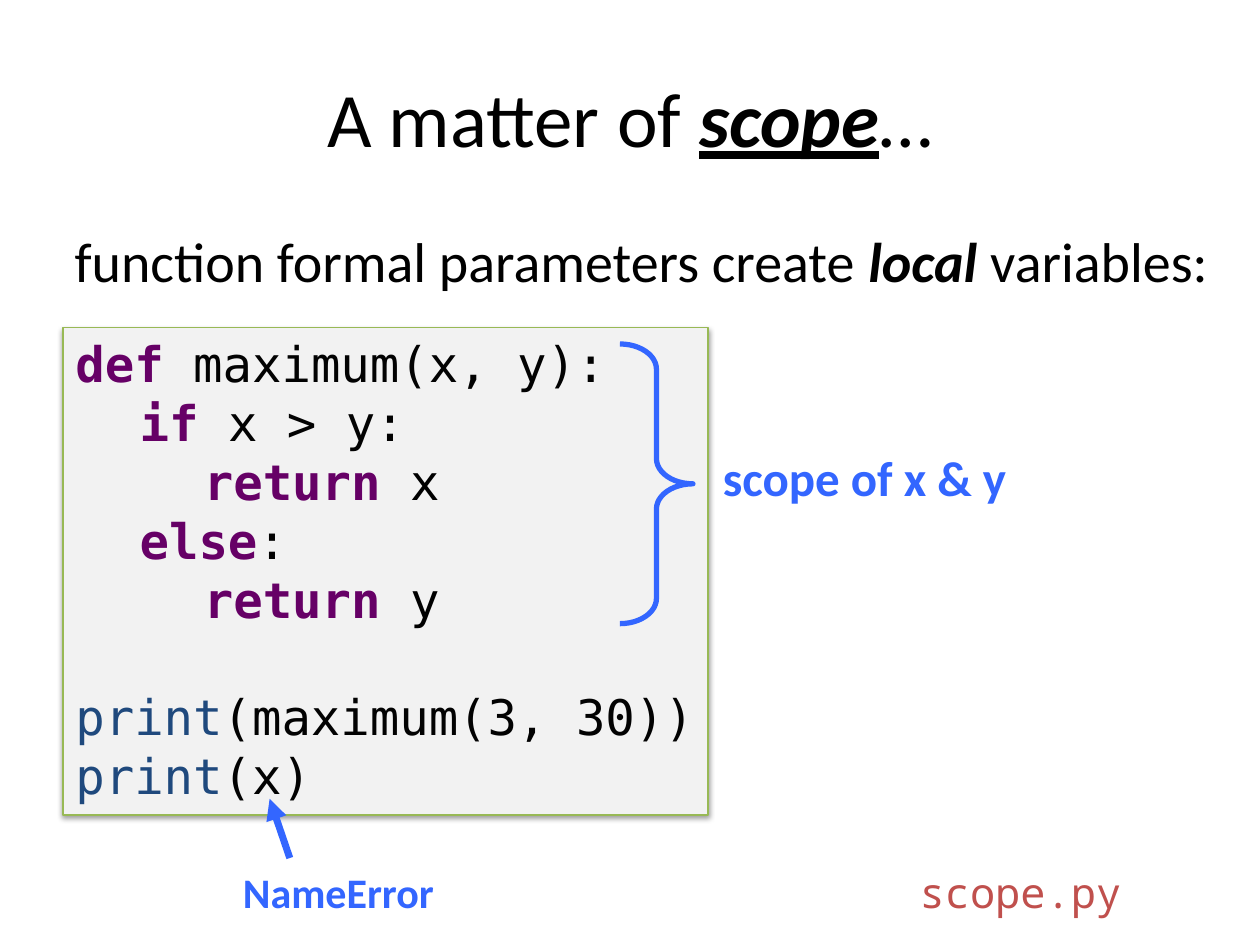
from dataclasses import dataclass

import lxml.etree
import pptx
import pptx.dml.color
import pptx.enum.shapes
import pptx.enum.text
import pptx.oxml
import pptx.oxml.ns
import pptx.util

Inches = pptx.util.Inches
Pt = pptx.util.Pt
RGBColor = pptx.dml.color.RGBColor
Align = pptx.enum.text.PP_ALIGN
Anchor = pptx.enum.text.MSO_ANCHOR
Shape = pptx.enum.shapes.MSO_SHAPE
qn = pptx.oxml.ns.qn

BLACK = RGBColor(0x00, 0x00, 0x00)
CODE_BLACK = RGBColor(0x02, 0x02, 0x02)
KEYWORD = RGBColor(0x66, 0x00, 0x66)
BUILTIN = RGBColor(0x1F, 0x49, 0x7D)
BLUE = RGBColor(0x33, 0x66, 0xFF)
RED = RGBColor(0xC0, 0x50, 0x4D)
PANEL = RGBColor(0xF2, 0xF2, 0xF2)
GREEN = RGBColor(0x98, 0xB9, 0x55)

SANS = "Calibri"
CODE = "DejaVu Sans Mono"
INDENT = 0.51
CODE_LINE_HEIGHT = 33.5


@dataclass(frozen=True)
class Span:
    text: str
    color: RGBColor = BLACK
    bold: bool = False
    italic: bool = False
    underline: bool = False


@dataclass(frozen=True)
class Line:
    spans: tuple[Span, ...]
    level: int = 0
    space_before: float = 0


@dataclass(frozen=True)
class Label:
    at: tuple[float, float, float, float]
    size: int
    spans: tuple[Span, ...]
    font: str = SANS
    align: Align = Align.LEFT
    anchor: Anchor = Anchor.TOP
    wrap: bool = True


def write_line(para, line: Line, font: str, size: int, align: Align = Align.LEFT) -> None:
    para.alignment = align
    para.space_before = Pt(line.space_before)
    if line.level:
        properties = para._p.get_or_add_pPr()
        properties.set("marL", str(Inches(INDENT * line.level)))
        properties.set("indent", "0")
    for span in line.spans:
        run = para.add_run()
        run.text = span.text
        run.font.name = font
        run.font.size = Pt(size)
        run.font.color.rgb = span.color
        run.font.bold = span.bold
        run.font.italic = span.italic
        run.font.underline = span.underline


def add_label(page, label: Label) -> None:
    box = page.shapes.add_textbox(*map(Inches, label.at))
    frame = box.text_frame
    frame.word_wrap = label.wrap
    frame.vertical_anchor = label.anchor
    write_line(frame.paragraphs[0], Line(label.spans), label.font, label.size, label.align)


def add_code_panel(page, lines: tuple[Line, ...]) -> None:
    panel = page.shapes.add_shape(
        Shape.RECTANGLE, Inches(0.5), Inches(2.6), Inches(5.12), Inches(3.87))
    panel.fill.solid()
    panel.fill.fore_color.rgb = PANEL
    panel.line.color.rgb = GREEN
    panel.line.width = Pt(0.75)
    panel.shadow.inherit = False
    effects = panel._element.spPr.find(qn("a:effectLst"))
    shadow = lxml.etree.SubElement(
        effects, qn("a:outerShdw"), blurRad=str(Pt(3.1)), dist=str(Pt(1.6)),
        dir="5400000", rotWithShape="0")
    color = lxml.etree.SubElement(shadow, qn("a:srgbClr"), val="000000")
    lxml.etree.SubElement(color, qn("a:alpha"), val="38000")
    frame = panel.text_frame
    frame.word_wrap = True
    frame.vertical_anchor = Anchor.TOP
    for index, line in enumerate(lines):
        para = frame.add_paragraph() if index else frame.paragraphs[0]
        write_line(para, line, CODE, 28)


def add_scope_brace(page) -> None:
    brace = page.shapes.add_shape(
        Shape.RIGHT_BRACE, Inches(4.92), Inches(2.73), Inches(0.58), Inches(2.22))
    brace.adjustments[0] = 0.345
    brace.adjustments[1] = 0.5
    brace.fill.background()
    brace.line.color.rgb = BLUE
    brace.line.width = Pt(3)
    brace.shadow.inherit = False


def add_error_arrow(page) -> None:
    arrow = page.shapes.add_connector(
        pptx.enum.shapes.MSO_CONNECTOR.STRAIGHT,
        Inches(2.3), Inches(6.81), Inches(2.14), Inches(6.34))
    arrow.line.color.rgb = BLUE
    arrow.line.width = Pt(4)
    lxml.etree.SubElement(arrow.line._get_or_add_ln(), qn("a:tailEnd"), type="triangle")
    lxml.etree.SubElement(arrow._element.spPr, qn("a:effectLst"))


def keyword(text: str) -> Span:
    return Span(text, KEYWORD, bold=True)


def code(text: str) -> Span:
    return Span(text, CODE_BLACK)


CODE_LINES = (
    Line((keyword("def"), code(" maximum(x, y):"))),
    Line((keyword("if "), code("x > y:")), 1),
    Line((keyword("return "), Span("x")), 2),
    Line((keyword("else"), code(":")), 1),
    Line((keyword("return "), Span("y")), 2),
    Line((Span("print", BUILTIN), code("(maximum(3, 30))")), space_before=CODE_LINE_HEIGHT),
    Line((Span("print", BUILTIN), code("(x)"))),
)

LABELS = (
    Label((0.5, 0.3, 9, 1.25), 44,
          (Span("A matter of "), Span("scope", bold=True, italic=True, underline=True),
           Span("…")), align=Align.CENTER, anchor=Anchor.MIDDLE),
    Label((0.18, 1.75, 9.82, 1.33), 32,
          (Span("function formal parameters create "), Span("local", bold=True, italic=True),
           Span(" variables:")), align=Align.CENTER),
    Label((7.2, 6.83, 2.52, 0.5), 24, (Span("scope.py", RED),), font="Noto Sans Mono"),
    Label((5.62, 3.5, 2.48, 0.57), 28, (Span("scope of x & y", BLUE, bold=True),),
          align=Align.CENTER, anchor=Anchor.MIDDLE, wrap=False),
    Label((1.83, 6.83, 1.74, 0.5), 24, (Span("NameError", BLUE, bold=True),), wrap=False),
)

deck = pptx.Presentation()
deck.slide_width = Inches(10)
deck.slide_height = Inches(7.5)
page = deck.slides.add_slide(deck.slide_layouts[6])
add_code_panel(page, CODE_LINES)
for label in LABELS:
    add_label(page, label)
add_scope_brace(page)
add_error_arrow(page)
deck.save("out.pptx")
